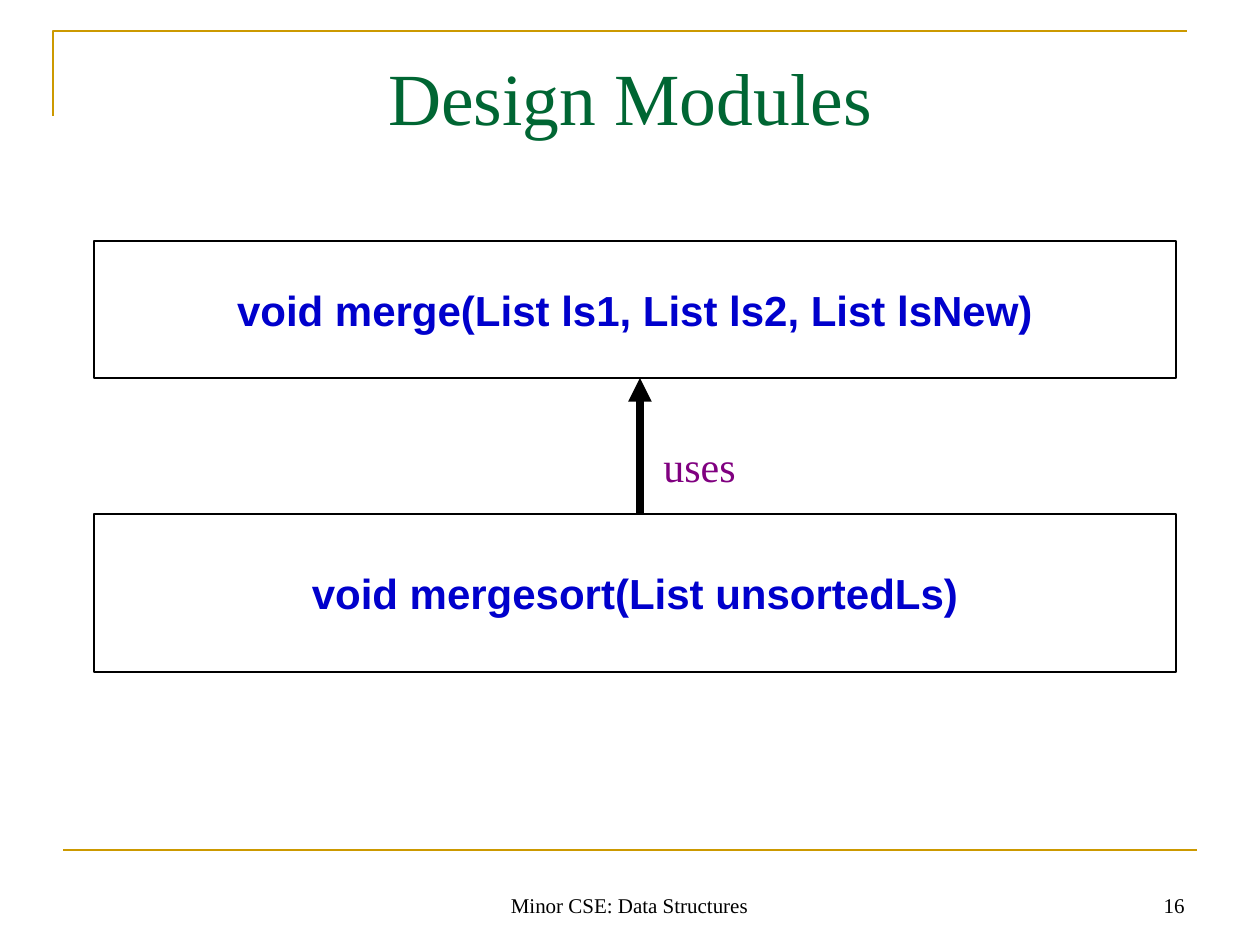
from pptx import Presentation
from pptx.dml.color import RGBColor
from pptx.enum.shapes import MSO_CONNECTOR, MSO_SHAPE
from pptx.enum.text import MSO_ANCHOR, MSO_AUTO_SIZE, PP_ALIGN
from pptx.oxml.ns import qn
from pptx.util import Pt
from lxml import etree

STRAIGHT = MSO_CONNECTOR.STRAIGHT
RECTANGLE = MSO_SHAPE.RECTANGLE
TOP, MIDDLE, BOTTOM = MSO_ANCHOR.TOP, MSO_ANCHOR.MIDDLE, MSO_ANCHOR.BOTTOM
LEFT, CENTER, RIGHT = PP_ALIGN.LEFT, PP_ALIGN.CENTER, PP_ALIGN.RIGHT

GOLD = RGBColor(0xCC, 0x99, 0x00)
GREEN = RGBColor(0x00, 0x66, 0x33)
BLUE = RGBColor(0x00, 0x00, 0xCC)
PURPLE = RGBColor(0x80, 0x00, 0x80)
BLACK = RGBColor(0x00, 0x00, 0x00)
SERIF, SANS = "Times New Roman", "Arial"
EMU_PER_PX = 914400 / 126


def px(*lengths):
    return [round(length * EMU_PER_PX) for length in lengths]


def write(shape, text, size, font, color, align, anchor):
    frame = shape.text_frame
    frame.text = text
    frame.word_wrap = True
    frame.auto_size = MSO_AUTO_SIZE.NONE
    frame.vertical_anchor = anchor
    paragraph = frame.paragraphs[0]
    paragraph.alignment = align
    paragraph.font.size = Pt(size)
    paragraph.font.name = font
    paragraph.font.color.rgb = color
    return frame


prs = Presentation()
prs.slide_width, prs.slide_height = px(1260, 945)
slide = prs.slides.add_slide(prs.slide_layouts[5])
shapes = slide.shapes

# Gold frame corner and footer rule
builder = shapes.build_freeform(53, 116, scale=EMU_PER_PX)
builder.add_line_segments([(53, 31), (1187, 31)], close=False)
corner = builder.convert_to_shape()
corner.shadow.inherit = False
corner.fill.background()
footer_rule = shapes.add_connector(STRAIGHT, *px(63, 850, 1197, 850))
for rule in (corner, footer_rule):
    rule.line.color.rgb = GOLD
    rule.line.width = Pt(1.5)

# Title
title = shapes.title
title.left, title.top, title.width, title.height = px(63, 38, 1134, 158)
title_frame = write(title, "Design Modules", 42, SERIF, GREEN, CENTER, TOP)
title_frame.margin_top, = px(14)

# Modules
for signature, top, height in (
    ("void merge(List ls1, List ls2, List lsNew)", 241, 137),
    ("void mergesort(List unsortedLs)", 514, 158),
):
    module = shapes.add_shape(RECTANGLE, *px(94, top, 1082, height))
    module.shadow.inherit = False
    module.fill.background()
    module.line.color.rgb = BLACK
    module.line.width = Pt(0.75)
    module_frame = write(module, signature, 24, SANS, BLUE, CENTER, MIDDLE)
    module_frame.word_wrap = False
    module_frame.paragraphs[0].font.bold = True

# Dependency arrow, slightly right of the modules' centre
uses_arrow = shapes.add_connector(STRAIGHT, *px(640, 514, 640, 378))
uses_arrow.line.color.rgb = BLACK
uses_arrow.line.width = Pt(4.5)
etree.SubElement(uses_arrow.line._get_or_add_ln(), qn("a:tailEnd"), type="triangle")

for connector in (footer_rule, uses_arrow):
    etree.SubElement(connector._element.spPr, qn("a:effectLst"))

# Arrow label
uses_label = shapes.add_textbox(*px(651, 431, 105, 63))
uses_frame = write(uses_label, "uses", 24, SERIF, PURPLE, LEFT, TOP)
uses_frame.margin_top, = px(10)

# Footer and slide number
for text, left, width, align in (
    ("Minor CSE: Data Structures", 430, 399, CENTER),
    ("16", 903, 294, RIGHT),
):
    footer = shapes.add_textbox(*px(left, 861, width, 63))
    write(footer, text, 12, SERIF, BLACK, align, BOTTOM)

prs.save("out.pptx")
